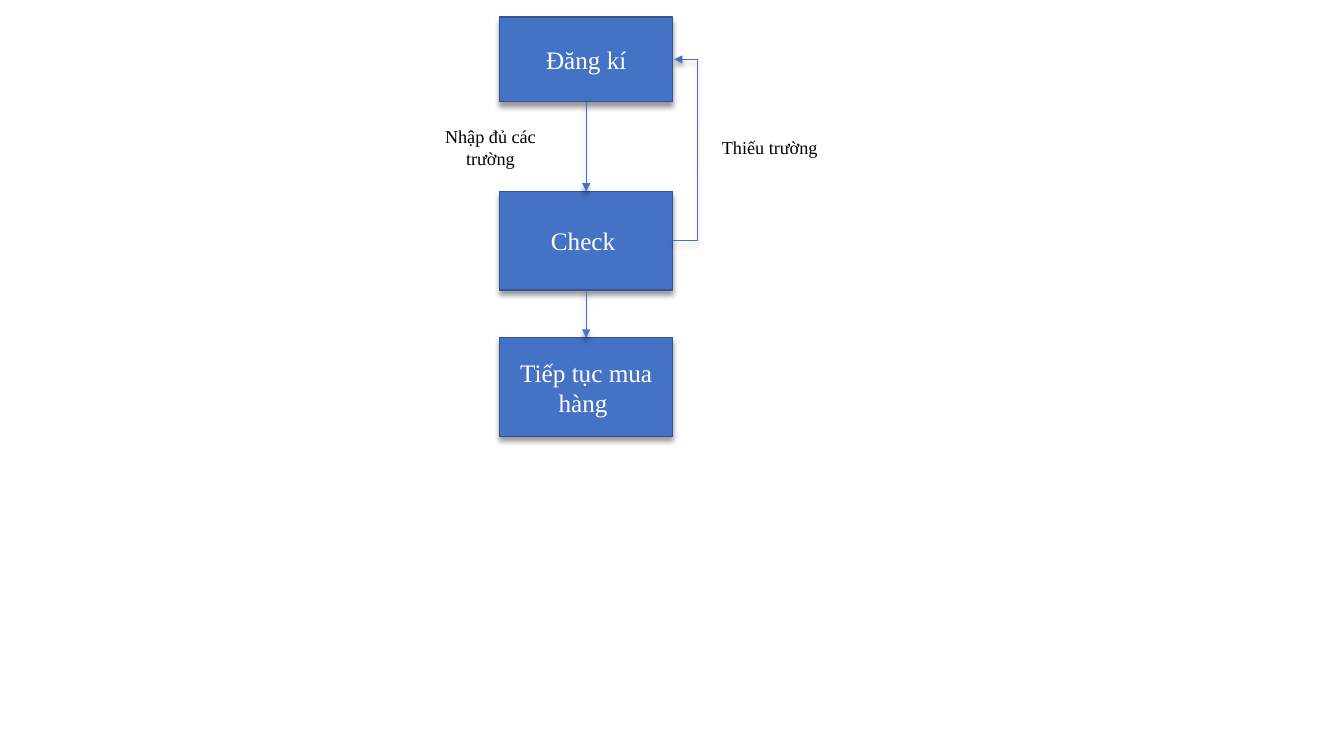
from dataclasses import dataclass

from lxml import etree
from pptx import Presentation
from pptx.dml.color import RGBColor
from pptx.enum.shapes import MSO_CONNECTOR, MSO_SHAPE
from pptx.enum.text import MSO_ANCHOR, PP_ALIGN
from pptx.oxml.ns import qn
from pptx.util import Pt

RECT = MSO_SHAPE.RECTANGLE
LINE, ELBOW = MSO_CONNECTOR.STRAIGHT, MSO_CONNECTOR.ELBOW
MIDDLE, CENTER = MSO_ANCHOR.MIDDLE, PP_ALIGN.CENTER
TOP, BOTTOM, RIGHT = 0, 2, 3


@dataclass(frozen=True)
class Theme:
    """Colours, font and type sizes of the slide."""
    blue: str = "4472C4"
    edge: str = "325491"
    white: str = "FFFFFF"
    black: str = "000000"
    font: str = "Times New Roman"
    step: int = 18
    note: int = 13


THEME = Theme()


def rgb(code):
    """Turn a hex code into a colour."""
    return RGBColor.from_string(code)


def write(shape, text, *, size, color):
    """Set centred text in a shape."""
    frame = shape.text_frame
    frame.word_wrap = True
    frame.vertical_anchor = MIDDLE
    para = frame.paragraphs[0]
    para.alignment = CENTER
    run = para.add_run()
    run.text = text
    run.font.name = THEME.font
    run.font.size = Pt(size)
    run.font.color.rgb = rgb(color)


def shade(shape):
    """Cast a soft shadow straight down."""
    effects = etree.SubElement(shape._element.spPr, qn("a:effectLst"))
    outer = etree.SubElement(
        effects, qn("a:outerShdw"), blurRad=str(Pt(4)), dist=str(Pt(3)),
        dir="5400000", algn="t", rotWithShape="0")
    tint = etree.SubElement(outer, qn("a:srgbClr"), val=THEME.black)
    etree.SubElement(tint, qn("a:alpha"), val="40000")


def block(slide, box, *, fill, edge):
    """Draw a filled rectangle in the given box."""
    shape = slide.shapes.add_shape(RECT, *map(Pt, box))
    shape.fill.solid()
    shape.fill.fore_color.rgb = rgb(fill)
    shape.line.color.rgb = rgb(edge)
    shape.line.width = Pt(1)
    return shape


def step(slide, text, box):
    """Draw one step of the flow."""
    shape = block(slide, box, fill=THEME.blue, edge=THEME.edge)
    write(shape, text, size=THEME.step, color=THEME.white)
    shade(shape)
    return shape


def note(slide, text, box):
    """Draw a label beside an arrow."""
    shape = block(slide, box, fill=THEME.white, edge=THEME.white)
    shape.shadow.inherit = False
    write(shape, text, size=THEME.note, color=THEME.black)


def link(slide, start, end, *, kind=LINE, sides=(BOTTOM, TOP), reach=0):
    """Join two steps with an arrow, bent out by reach points."""
    arrow = slide.shapes.add_connector(kind, 0, 0, 0, 0)
    arrow.begin_connect(start, sides[0])
    arrow.end_connect(end, sides[1])
    arrow.line.color.rgb = rgb(THEME.blue)
    arrow.line.width = Pt(0.5)
    props = arrow._element.spPr
    etree.SubElement(props.find(qn("a:ln")), qn("a:tailEnd"), type="triangle")
    if reach:
        arrow.end_x += Pt(1)
        guides = props.find(qn("a:prstGeom")).get_or_add_avLst()
        etree.SubElement(guides, qn("a:gd"), name="adj1",
                         fmla=f"val {reach * 100000}")
    shade(arrow)


def flow(slide, box):
    """Lay out the sign-up flow in the given box."""
    left, top, wide, _ = box
    mid = left + 56
    rows = (("Đăng kí", 0, 60.5), ("Check ", 124.5, 70.5),
            ("Tiếp tục mua hàng ", 229, 70.5))
    first, check, last = [
        step(slide, text, (mid, top + drop, 123.5, high))
        for text, drop, high in rows]
    link(slide, first, check)
    link(slide, check, last)
    link(slide, check, first, kind=ELBOW, sides=(RIGHT, RIGHT), reach=18)
    span = 98.5
    for text, x in (("Nhập đủ các trường", left),
                    ("Thiếu trường", left + wide - span)):
        note(slide, text, (x, top + 75, span, 36))


def main():
    """Build and save the slide."""
    deck = Presentation()
    deck.slide_width, deck.slide_height = Pt(960), Pt(540)
    slide = deck.slides.add_slide(deck.slide_layouts[6])
    flow(slide, (301, 12.25, 298, 299.5))
    deck.save("out.pptx")


if __name__ == "__main__":
    main()
